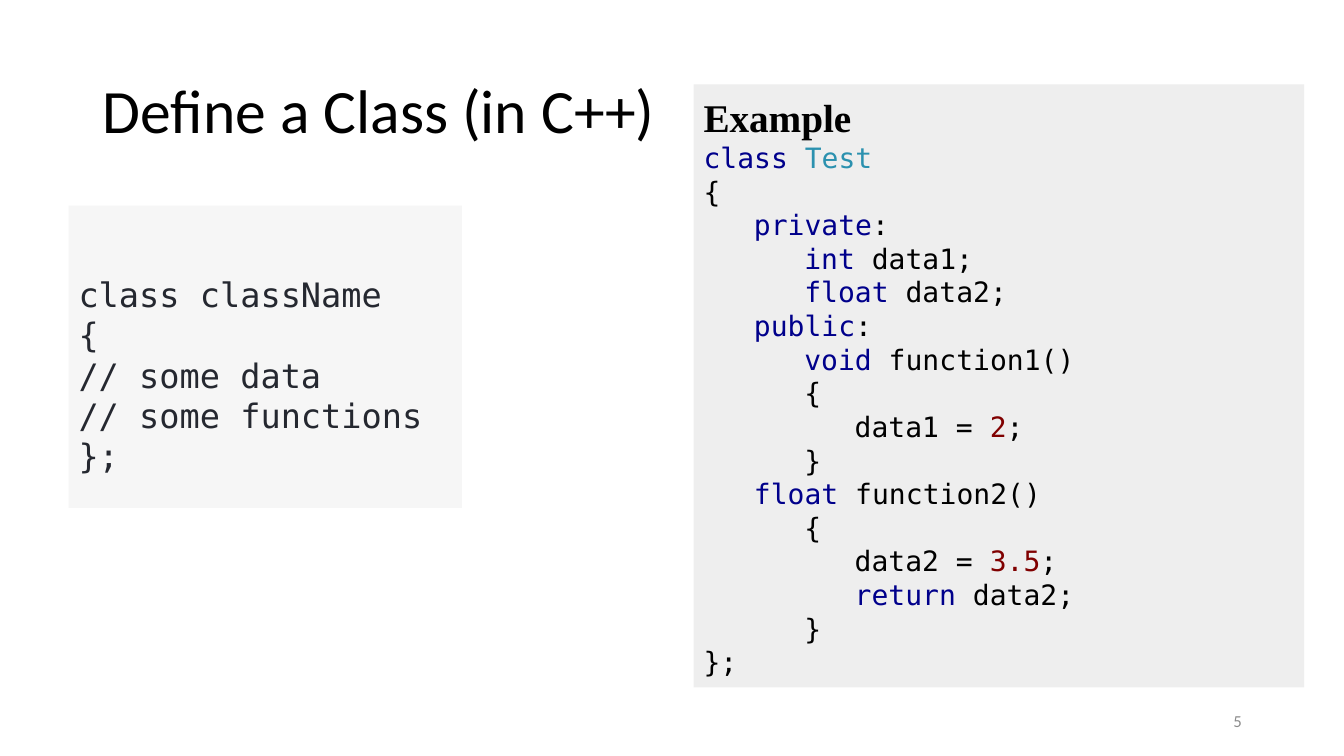
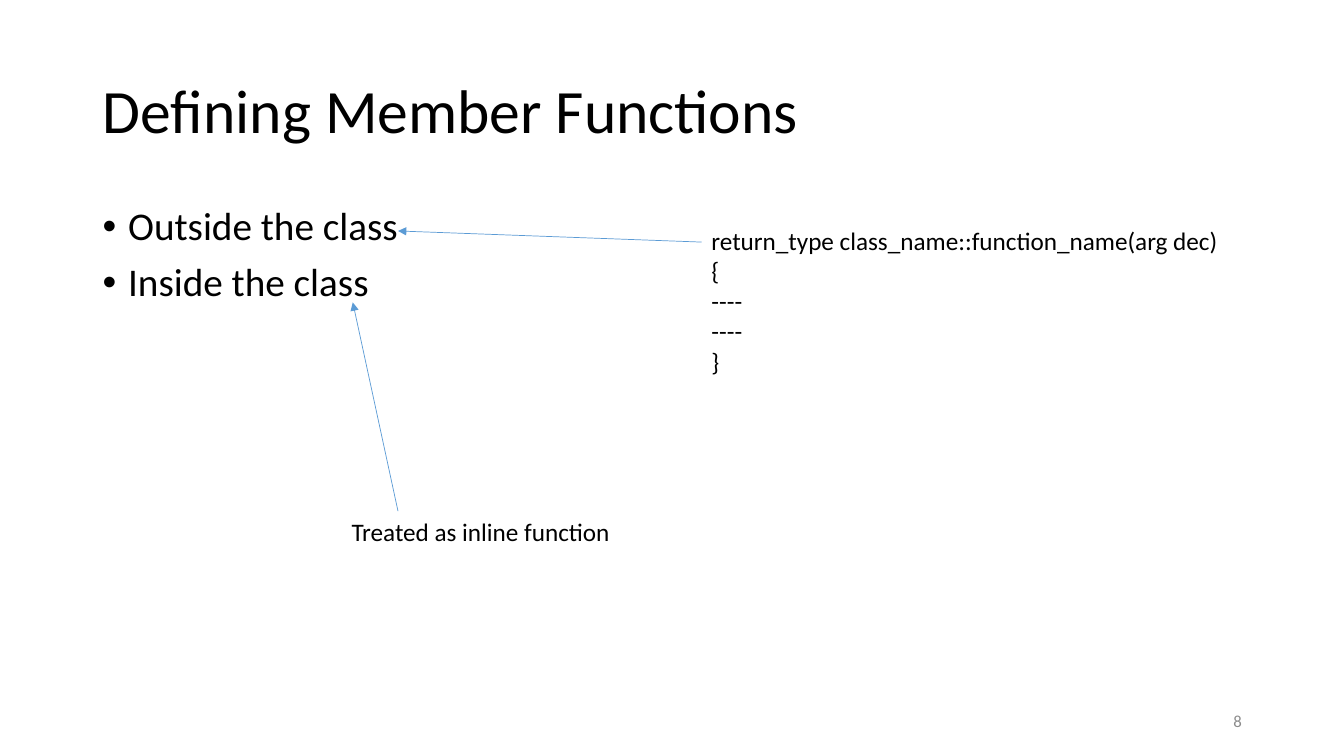
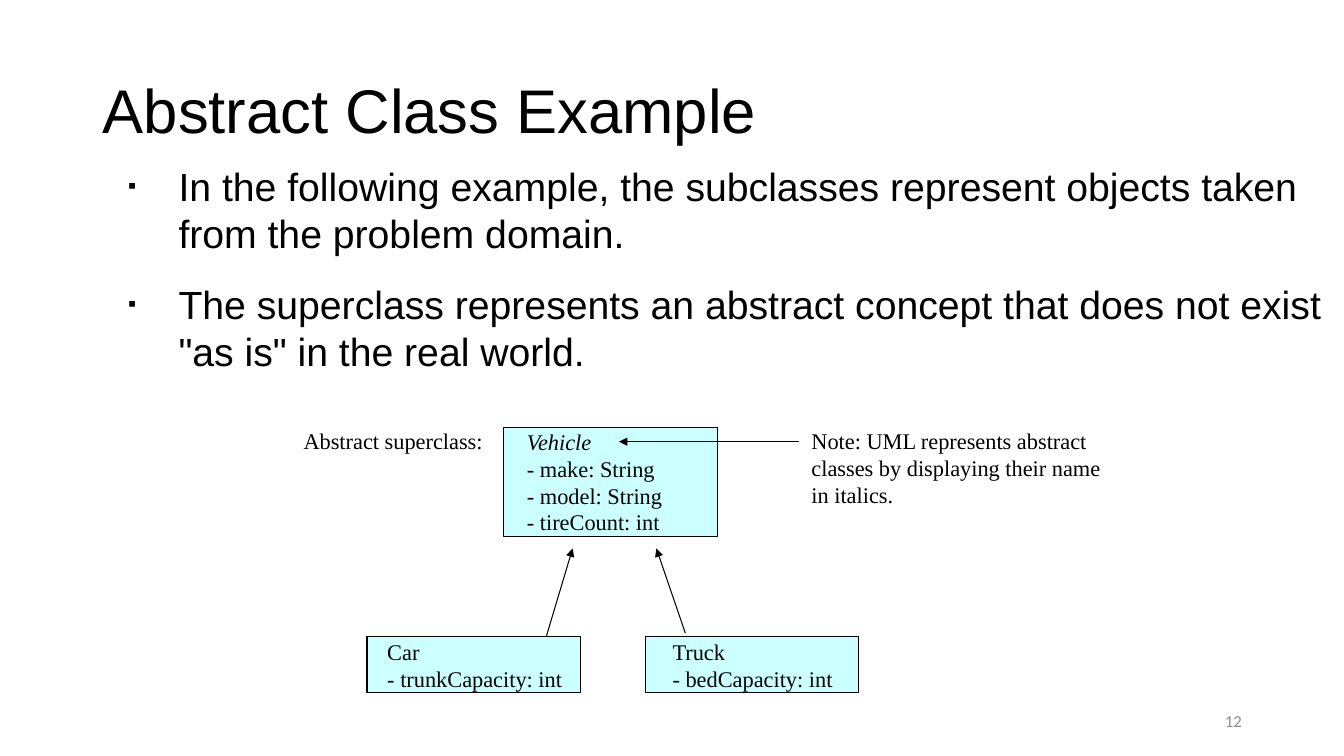
"""Builds three slides on classes, member functions and abstract classes."""
import pptx
import pptx.dml.color
import pptx.enum.shapes
import pptx.enum.text
import pptx.oxml.ns
import pptx.util
from lxml import etree
from pptx.util import Cm

COLORS = {
    "black": "000000",
    "muted": "8C8C8C",
    "arrow": "5B9BD5",
    "syntax_fill": "F6F6F6",
    "syntax_text": "252830",
    "example_fill": "EEEEEE",
    "keyword": "00008B",
    "type": "2B91AF",
    "number": "800000",
    "class_fill": "CCFFFF",
}
CODE_FONT = "DejaVu Sans Mono"
DIAGRAM_FONT = "Times New Roman"
LEADING = 1.2
INSETS = (0.25, 0.13, 0.25, 0.13)
NO_INSETS = (0, 0, 0, 0)
ANCHOR = pptx.enum.text.MSO_ANCHOR
ALIGN = pptx.enum.text.PP_ALIGN


def rgb(name):
    """Return the named colour."""
    return pptx.dml.color.RGBColor.from_string(COLORS[name])


def add_element(parent, tag, **attributes):
    """Append an empty DrawingML element."""
    return etree.SubElement(parent, pptx.oxml.ns.qn(tag), attributes)


def write(text_frame, *runs, size=18, font="Calibri", color="black", bold=False,
          italic=False, align=ALIGN.LEFT, spacing=None, before=0, after=0,
          margin=0, hanging=0, bullet=None, bullet_percent=100):
    """Write one paragraph whose runs are strings or (text, colour) pairs."""
    paragraph = text_frame.paragraphs[-1]
    if paragraph.runs:
        paragraph = text_frame.add_paragraph()
    paragraph.alignment = align
    paragraph.space_before = pptx.util.Pt(before)
    paragraph.space_after = pptx.util.Pt(after)
    if spacing:
        paragraph.line_spacing = spacing
    properties = paragraph._p.get_or_add_pPr()
    properties.set("marL", str(Cm(margin)))
    properties.set("indent", str(-Cm(hanging)))
    if bullet:
        add_element(properties, "a:buSzPct", val=str(bullet_percent * 1000))
        add_element(properties, "a:buFont", typeface="Arial")
        add_element(properties, "a:buChar", char=bullet)
    for item in runs:
        text, run_color = (item, color) if isinstance(item, str) else item
        run = paragraph.add_run()
        run.text = text
        run.font.size = pptx.util.Pt(size)
        run.font.name = font
        run.font.bold = bold
        run.font.italic = italic
        run.font.color.rgb = rgb(run_color)


def leading(size):
    """Return the fixed line height for a text size."""
    return pptx.util.Pt(LEADING * size)


class Deck:
    """Holds the presentation, its shared style and the current slide."""

    def __init__(self):
        """Start an empty widescreen presentation."""
        self.presentation = pptx.Presentation()
        self.presentation.slide_width = Cm(33.87)
        self.presentation.slide_height = Cm(19.05)
        self.slide = None

    def frame(self, shape, insets, anchor, wrap):
        """Set up the text frame of a shape."""
        text_frame = shape.text_frame
        text_frame.auto_size = pptx.enum.text.MSO_AUTO_SIZE.NONE
        text_frame.word_wrap = wrap
        text_frame.vertical_anchor = anchor
        (text_frame.margin_left, text_frame.margin_top,
         text_frame.margin_right, text_frame.margin_bottom) = map(Cm, insets)
        return text_frame

    def start(self, title, number, font="Calibri"):
        """Add a slide with its title and number."""
        layout = self.presentation.slide_layouts[5]
        self.slide = self.presentation.slides.add_slide(layout)
        shape = self.slide.shapes.title
        shape.left, shape.top = Cm(2.34), Cm(1.02)
        shape.width, shape.height = Cm(29.21), Cm(3.68)
        text_frame = self.frame(shape, INSETS, ANCHOR.MIDDLE, True)
        write(text_frame, title, size=44, font=font, spacing=0.9)
        text_frame = self.text(23.93, 17.65, 7.62, 1.02, anchor=ANCHOR.MIDDLE)
        write(text_frame, str(number), size=12, color="muted", align=ALIGN.RIGHT)

    def text(self, left, top, width, height, insets=INSETS, anchor=ANCHOR.TOP,
             wrap=True):
        """Add a text box and return its frame."""
        shape = self.slide.shapes.add_textbox(
            Cm(left), Cm(top), Cm(width), Cm(height))
        return self.frame(shape, insets, anchor, wrap)

    def box(self, left, top, width, height, fill, line=None, insets=INSETS,
            anchor=ANCHOR.MIDDLE, kind="RECTANGLE"):
        """Add a filled shape and return its frame."""
        shape = self.slide.shapes.add_shape(
            getattr(pptx.enum.shapes.MSO_SHAPE, kind),
            Cm(left), Cm(top), Cm(width), Cm(height))
        shape.shadow.inherit = False
        if kind == "ROUNDED_RECTANGLE":
            shape.adjustments[0] = 0
        shape.fill.solid()
        shape.fill.fore_color.rgb = rgb(fill)
        if line:
            shape.line.color.rgb = rgb(line)
            shape.line.width = pptx.util.Pt(0.75)
        else:
            shape.line.fill.background()
        return self.frame(shape, insets, anchor, True)

    def uml_class(self, left, top, height, indent, name, *fields, abstract=False):
        """Add a class box with its name and fields."""
        text_frame = self.box(left, top, 5.38, height, "class_fill", "black",
                              (indent, 0, 0, 0), kind="ROUNDED_RECTANGLE")
        self.diagram_lines(text_frame, name, italic=abstract)
        self.diagram_lines(text_frame, *fields)

    def diagram_lines(self, text_frame, *lines, italic=False):
        """Write lines in the diagram style."""
        for line in lines:
            write(text_frame, line, size=16, font=DIAGRAM_FONT, italic=italic,
                  spacing=leading(16))

    def arrow(self, start, end, color="black", width=0.75):
        """Add a straight arrow from start to end."""
        connector = self.slide.shapes.add_connector(
            pptx.enum.shapes.MSO_CONNECTOR.STRAIGHT, *map(Cm, start + end))
        connector.line.color.rgb = rgb(color)
        connector.line.width = pptx.util.Pt(width)
        add_element(connector.line._get_or_add_ln(), "a:tailEnd", type="triangle")
        add_element(connector._element.spPr, "a:effectLst")


def build_class_definition(deck):
    """Show the syntax of a class beside an example."""
    deck.start("Define a Class (in C++)", 5)
    syntax = deck.box(1.73, 5.18, 9.91, 7.62, "syntax_fill",
                      insets=(0.25, 1.72, 0.25, 0), anchor=ANCHOR.TOP)
    for line in ("class className", "{", "// some data", "// some functions", "};"):
        write(syntax, line, size=24, font=CODE_FONT, color="syntax_text",
              spacing=leading(24))

    example = deck.box(17.48, 2.13, 15.39, 15.19, "example_fill")
    write(example, "Example", size=28, font=DIAGRAM_FONT, bold=True,
          spacing=leading(28))
    code = [
        (0, ("class ", "keyword"), ("Test", "type")),
        (0, "{"),
        (1, ("private", "keyword"), ":"),
        (2, ("int", "keyword"), " data1;"),
        (2, ("float", "keyword"), " data2;"),
        (1, ("public", "keyword"), ":"),
        (2, ("void", "keyword"), " function1()"),
        (2, "{"),
        (3, "data1 = ", ("2", "number"), ";"),
        (2, "}"),
        (1, ("float", "keyword"), " function2()"),
        (2, "{"),
        (3, "data2 = ", ("3.5", "number"), ";"),
        (3, ("return", "keyword"), " data2;"),
        (2, "}"),
        (0, "};"),
    ]
    for level, *runs in code:
        write(example, *runs, size=20, font=CODE_FONT, margin=1.27 * level,
              spacing=leading(20))


def build_member_functions(deck):
    """Show where member functions are defined."""
    deck.start("Defining Member Functions", 8)
    places = deck.text(2.34, 5.08, 10.95, 12.09)
    for place in ("Outside the class", "Inside the class"):
        write(places, place, size=28, spacing=0.9, before=10,
              margin=0.64, hanging=0.64, bullet="\u2022")
    definition = deck.text(17.68, 5.54, 13.44, 4.11, wrap=False)
    for line in ("return_type class_name::function_name(arg dec)",
                 "{", "----", "----", "}"):
        write(definition, line)
    deck.arrow((17.68, 6.1), (10.03, 5.82), "arrow", 0.5)
    deck.arrow((10.03, 12.88), (8.89, 7.62), "arrow", 0.5)
    write(deck.text(8.61, 12.88, 7.11, 1.02, wrap=False),
          "Treated as inline function")


def build_abstract_class(deck):
    """Show an abstract superclass with two subclasses."""
    deck.start("Abstract Class Example", 12, font="Arial")
    points = deck.text(3.23, 4.09, 30.2, 5.46, insets=NO_INSETS)
    for point in (
            "In the following example, the subclasses represent objects taken "
            "from the problem domain.",
            "The superclass represents an abstract concept that does not exist "
            '"as is" in the real world.'):
        write(points, point, size=28, font="Arial", spacing=leading(28),
              before=2.8, after=14, margin=1.27, hanging=1.27,
              bullet="\u25aa", bullet_percent=59)

    deck.uml_class(12.7, 10.77, 2.74, 0.58, "Vehicle", "- make: String",
                   "- model: String", "- tireCount: int", abstract=True)
    deck.uml_class(9.25, 16.05, 1.4, 0.51, "Car", "- trunkCapacity: int")
    deck.uml_class(16.26, 16.05, 1.4, 0.69, "Truck", "- bedCapacity: int")
    deck.arrow((13.77, 16.03), (14.43, 13.82))
    deck.arrow((17.27, 15.95), (16.54, 13.82))
    deck.arrow((20.14, 11.13), (15.6, 11.13))

    label = deck.text(7.65, 10.77, 4.55, 0.69, insets=NO_INSETS, wrap=False)
    deck.diagram_lines(label, "Abstract superclass:")
    note = deck.text(20.45, 10.77, 7.34, 2.03, insets=NO_INSETS, wrap=False)
    deck.diagram_lines(note, "Note: UML represents abstract",
                       "classes by displaying their name", "in italics.")


def main():
    """Build and save the presentation."""
    deck = Deck()
    build_class_definition(deck)
    build_member_functions(deck)
    build_abstract_class(deck)
    deck.presentation.save("out.pptx")


main()
